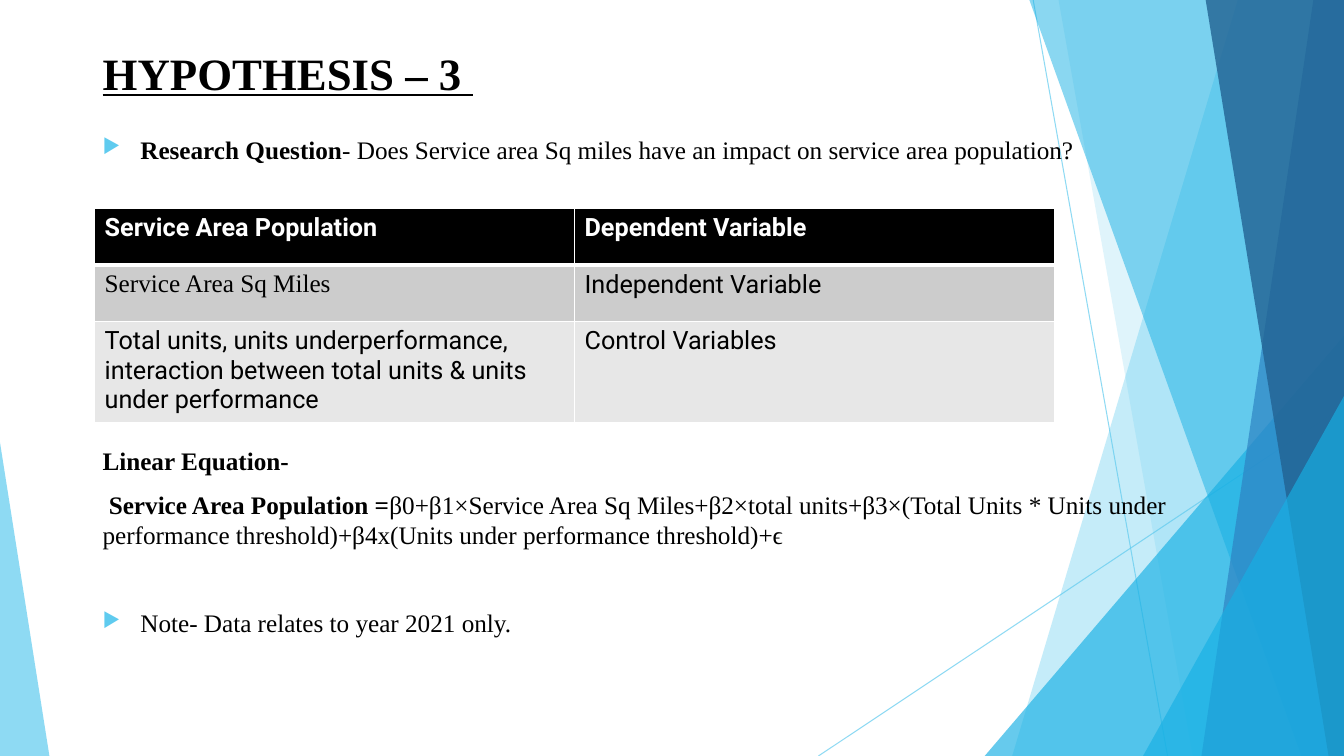
from lxml import etree
from pptx import Presentation
from pptx.dml.color import RGBColor
from pptx.enum.shapes import MSO_CONNECTOR, MSO_SHAPE
from pptx.enum.text import MSO_ANCHOR, PP_ALIGN
from pptx.oxml.ns import qn
from pptx.util import Pt

STRAIGHT = MSO_CONNECTOR.STRAIGHT
TRIANGLE = MSO_SHAPE.ISOSCELES_TRIANGLE
TOP = MSO_ANCHOR.TOP
LEFT = PP_ALIGN.LEFT

BLACK = RGBColor(0x00, 0x00, 0x00)
WHITE = RGBColor(0xFF, 0xFF, 0xFF)
SKY = RGBColor(0x5F, 0xCB, 0xEF)
CYAN = RGBColor(0x17, 0xB0, 0xE4)
BLUE = RGBColor(0x2E, 0x83, 0xC3)
NAVY = RGBColor(0x22, 0x62, 0x92)
GREY = RGBColor(0xCC, 0xCC, 0xCC)
PALE_GREY = RGBColor(0xE7, 0xE7, 0xE7)

SERIF = "Times New Roman"
SANS = "Roboto"
WIDTH, HEIGHT = 960, 540
BAND_TOP = -0.6

LINES = [(738, 0, 834, HEIGHT), (WIDTH, 290, 584.6, HEIGHT)]
BACK_BANDS = [(884.3, 723, SKY, 36), (756, 852, SKY, 20)]
FRONT_BANDS = [(735.1, 929.5, CYAN, 50), (938.2, 858.2, BLUE, 70), (861.1, 949, NAVY, 80)]
BACK_TRIANGLE = (703.4, 239.8, 256.6, 1, CYAN, 66)
FRONT_TRIANGLES = [(816.5, 283, 143.5, 1, CYAN, 66), (0, 316.1, 35.3, 0, SKY, 70)]

TABLE_ROWS = [
    (40.3, BLACK, [("Service Area Population", SANS), ("Dependent Variable", SANS)]),
    (40.3, GREY, [("Service Area Sq Miles", SERIF), ("Independent Variable", SANS)]),
    (70.6, PALE_GREY, [
        ("Total units, units underperformance, interaction between total units "
         "& units under performance", SANS),
        ("Control Variables", SANS)]),
]

PARAGRAPHS = [
    (0, True, "Research Question",
     "- Does Service area Sq miles have an impact on service area population?"),
    (200.5, False, "Linear Equation-", ""),
    (10, False, " Service Area Population =",
     "β0+β1×Service Area Sq Miles+β2×total units+β3×(Total Units * Units under "
     "performance threshold)+β4x(Units under performance threshold)+ϵ"),
    (41.5, True, "", "Note- Data relates to year 2021 only."),
]


def set_font(font, name, size, color, bold):
    """Apply typeface, size, colour and weight to a font."""
    font.name, font.size, font.bold = name, Pt(size), bold
    font.color.rgb = color


def set_opacity(properties, percent):
    """Make the first colour in a property element translucent."""
    color = next(properties.iter(qn("a:srgbClr")))
    etree.SubElement(color, qn("a:alpha"), val=str(percent * 1000))


def paint(shape, color, opacity):
    """Give a shape a translucent fill without line or shadow."""
    shape.shadow.inherit = False
    shape.fill.solid()
    shape.fill.fore_color.rgb = color
    set_opacity(shape.fill._xPr, opacity)
    shape.line.fill.background()


def add_line(slide, left, top, right, bottom):
    """Draw one thin decorative line."""
    line = slide.shapes.add_connector(STRAIGHT, Pt(left), Pt(top), Pt(right), Pt(bottom))
    line.line.width = Pt(0.75)
    line.line.color.rgb = SKY
    properties = line._element.spPr
    set_opacity(properties, 70)
    etree.SubElement(properties, qn("a:effectLst"))


def add_band(slide, top_left, bottom_left, color, opacity):
    """Draw a band from a slanted left edge to the right slide edge."""
    builder = slide.shapes.build_freeform(Pt(top_left), Pt(BAND_TOP))
    corners = [(WIDTH, BAND_TOP), (WIDTH, HEIGHT), (bottom_left, HEIGHT)]
    builder.add_line_segments([(Pt(x), Pt(y)) for x, y in corners], close=True)
    paint(builder.convert_to_shape(), color, opacity)


def add_triangle(slide, left, top, width, apex, color, opacity):
    """Draw a triangle standing on the bottom slide edge."""
    shape = slide.shapes.add_shape(TRIANGLE, Pt(left), Pt(top), Pt(width), Pt(HEIGHT - top))
    shape.adjustments[0] = apex
    paint(shape, color, opacity)


def add_decoration(slide):
    """Draw the translucent facets from back to front."""
    for line in LINES:
        add_line(slide, *line)
    for band in BACK_BANDS:
        add_band(slide, *band)
    add_triangle(slide, *BACK_TRIANGLE)
    for band in FRONT_BANDS:
        add_band(slide, *band)
    for triangle in FRONT_TRIANGLES:
        add_triangle(slide, *triangle)


def format_title(slide):
    """Place and format the slide title."""
    title = slide.shapes.title
    title.left, title.top, title.width, title.height = Pt(66.2), Pt(28.8), Pt(687.6), Pt(62.6)
    frame = title.text_frame
    frame.text = "HYPOTHESIS – 3 "
    frame.vertical_anchor = TOP
    frame.paragraphs[0].alignment = LEFT
    font = frame.paragraphs[0].runs[0].font
    set_font(font, SERIF, 32, BLACK, True)
    font.underline = True


def add_bullet(paragraph):
    """Give a paragraph a hanging arrow bullet."""
    properties = paragraph._p.get_or_add_pPr()
    properties.set("marL", str(Pt(27)))
    properties.set("indent", str(-Pt(27)))
    color = etree.SubElement(properties, qn("a:buClr"))
    etree.SubElement(color, qn("a:srgbClr"), val=str(SKY))
    etree.SubElement(properties, qn("a:buSzPct"), val="80000")
    etree.SubElement(properties, qn("a:buChar"), char="▶")


def add_body(slide):
    """Write the question, the equation and the note."""
    frame = slide.shapes.add_textbox(Pt(66.2), Pt(92.2), Pt(828), Pt(398.9)).text_frame
    frame.word_wrap = True
    for index, (space, bulleted, label, text) in enumerate(PARAGRAPHS):
        paragraph = frame.add_paragraph() if index else frame.paragraphs[0]
        paragraph.space_before = Pt(space)
        if bulleted:
            add_bullet(paragraph)
        for words, bold in ((label, True), (text, False)):
            if words:
                run = paragraph.add_run()
                run.text = words
                set_font(run.font, SERIF, 18, BLACK, bold)


def set_borders(cell, bottom_width):
    """Draw white borders round a table cell."""
    properties = cell._tc.get_or_add_tcPr()
    for side, width in (("L", 1), ("R", 1), ("T", 1), ("B", bottom_width)):
        border = etree.SubElement(properties, qn("a:ln" + side), w=str(Pt(width)))
        fill = etree.SubElement(border, qn("a:solidFill"))
        etree.SubElement(fill, qn("a:srgbClr"), val=str(WHITE))


def add_variable_table(slide):
    """Build the table of variables and their roles."""
    height = sum(row[0] for row in TABLE_ROWS)
    table = slide.shapes.add_table(
        len(TABLE_ROWS), 2, Pt(67.6), Pt(149), Pt(685.6), Pt(height)).table
    for row_index, (row_height, color, entries) in enumerate(TABLE_ROWS):
        header = row_index == 0
        table.rows[row_index].height = Pt(row_height)
        for column_index, (text, font_name) in enumerate(entries):
            cell = table.cell(row_index, column_index)
            cell.text_frame.text = text
            font = cell.text_frame.paragraphs[0].runs[0].font
            set_font(font, font_name, 18, WHITE if header else BLACK, header)
            set_borders(cell, 3 if header else 1)
            cell.fill.solid()
            cell.fill.fore_color.rgb = color


def main():
    """Build and save the hypothesis slide."""
    presentation = Presentation()
    presentation.slide_width, presentation.slide_height = Pt(WIDTH), Pt(HEIGHT)
    slide = presentation.slides.add_slide(presentation.slide_layouts[5])
    add_decoration(slide)
    format_title(slide)
    add_body(slide)
    add_variable_table(slide)
    presentation.save("out.pptx")


if __name__ == "__main__":
    main()
